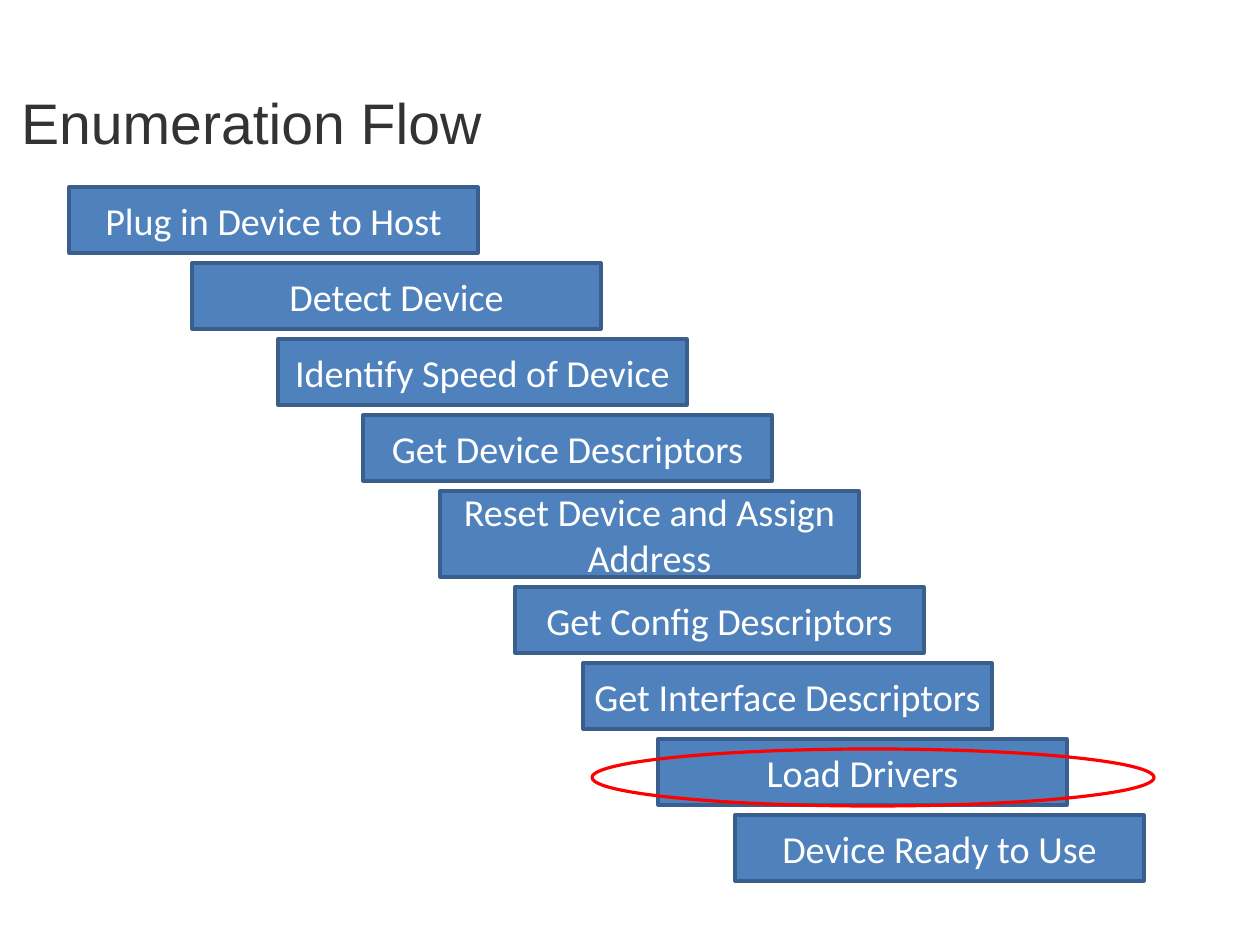
import pptx
import pptx.util
import pptx.dml.color
import pptx.enum.shapes
import pptx.enum.text
from dataclasses import dataclass

TITLE = "Enumeration Flow"
# Each step: wording, left edge, width, height
STEPS = [
    ("Plug in Device to Host", 69, 409, 66),
    ("Detect Device", 192, 409, 66),
    ("Identify Speed of Device", 278, 409, 66),
    ("Get Device Descriptors", 363, 409, 66),
    ("Reset Device and Assign Address", 440, 419, 86),
    ("Get Config Descriptors", 515, 409, 66),
    ("Get Interface Descriptors", 583, 409, 66),
    ("Load Drivers", 658, 409, 66),
    ("Device Ready to Use", 735, 409, 66),
]
SIZE = (1260, 945)
HEAD = (21, 81, 1157, 81)
RING = (592, 749, 562, 57)
TOP, GAP, INSET = 187, 10, 10
UNIT = 8000  # EMU in one pixel


@dataclass
class Theme:
    """Colours, fonts and type sizes."""
    ink: str = "333333"
    fill: str = "4F81BD"
    edge: str = "3A5F8C"
    label: str = "FFFFFF"
    mark: str = "FF0000"
    head_font: str = "Arial"
    step_font: str = "Calibri"
    head_size: int = 36
    step_size: int = 24
    line: int = 2


theme = Theme()
KINDS = pptx.enum.shapes.MSO_SHAPE
ALIGN = pptx.enum.text.PP_ALIGN


def emu(*sizes):
    """Turn pixels into EMU."""
    return [pptx.util.Emu(size * UNIT) for size in sizes]


def rgb(code):
    """Make a colour from its hex code."""
    return pptx.dml.color.RGBColor.from_string(code)


def write(shape, text, font, size, color, align, inset):
    """Put one run of text in the middle of a shape's height."""
    frame = shape.text_frame
    frame.word_wrap = True
    frame.auto_size = pptx.enum.text.MSO_AUTO_SIZE.NONE
    frame.vertical_anchor = pptx.enum.text.MSO_ANCHOR.MIDDLE
    frame.margin_left, frame.margin_right = emu(inset, inset)
    frame.margin_top, frame.margin_bottom = emu(0, 0)
    para = frame.paragraphs[0]
    para.alignment = align
    run = para.add_run()
    run.text = text
    run.font.name = font
    run.font.size = pptx.util.Pt(size)
    run.font.color.rgb = rgb(color)


def draw(slide, kind, box, edge, fill=None):
    """Add an outlined shape, filled if a colour is given."""
    shape = slide.shapes.add_shape(kind, *emu(*box))
    shape.shadow.inherit = False
    shape.line.color.rgb = rgb(edge)
    shape.line.width = pptx.util.Pt(theme.line)
    if fill:
        shape.fill.solid()
        shape.fill.fore_color.rgb = rgb(fill)
    else:
        shape.fill.background()
    return shape


def build():
    """Build the slide and save it."""
    deck = pptx.Presentation()
    deck.slide_width, deck.slide_height = emu(*SIZE)
    slide = deck.slides.add_slide(deck.slide_layouts[5])

    title = slide.shapes.title
    title.left, title.top, title.width, title.height = emu(*HEAD)
    write(title, TITLE, theme.head_font, theme.head_size, theme.ink,
          ALIGN.LEFT, 0)

    top = TOP
    for text, left, width, height in STEPS:
        step = draw(slide, KINDS.RECTANGLE, (left, top, width, height),
                    theme.edge, theme.fill)
        write(step, text, theme.step_font, theme.step_size, theme.label,
              ALIGN.CENTER, INSET)
        top += height + GAP

    draw(slide, KINDS.OVAL, RING, theme.mark)
    deck.save("out.pptx")


build()
